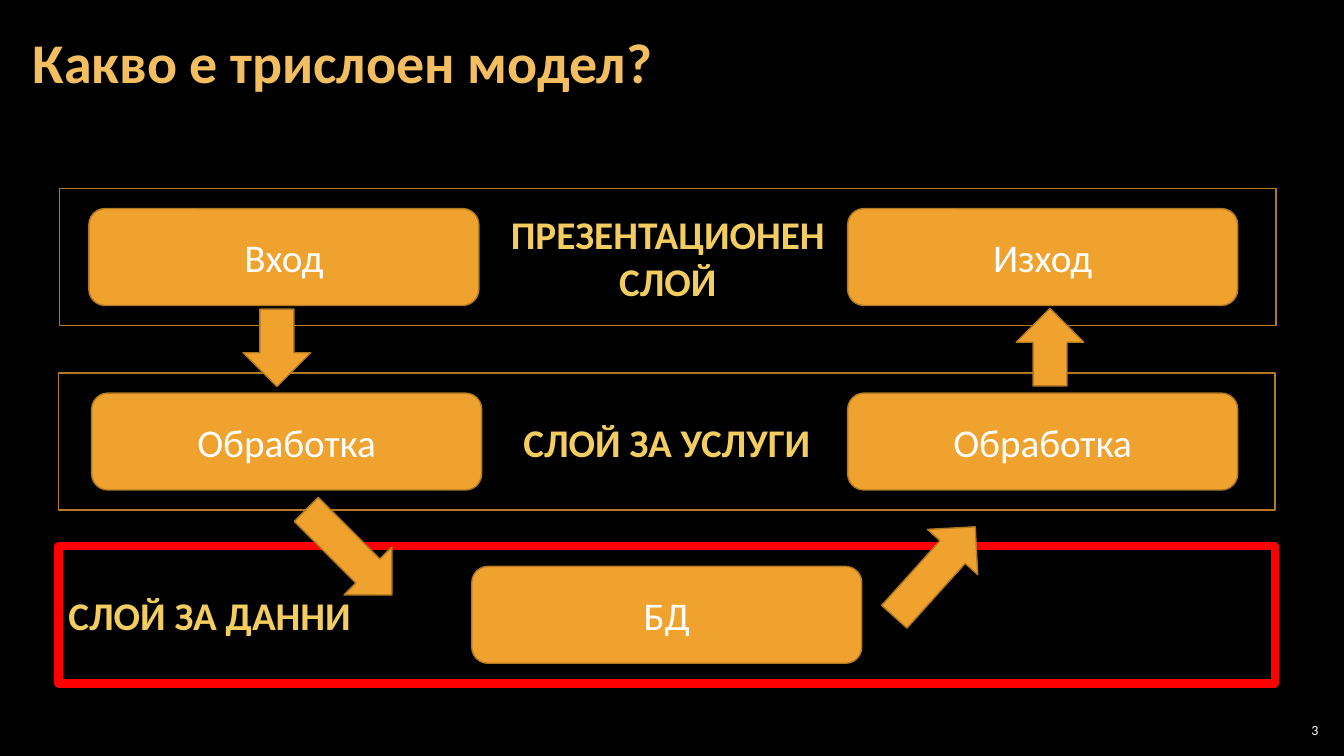
from pptx import Presentation
from pptx.dml.color import RGBColor
from pptx.enum.shapes import MSO_SHAPE
from pptx.enum.text import MSO_ANCHOR, PP_ALIGN
from pptx.util import Pt

BLACK = RGBColor(0x00, 0x00, 0x00)
WHITE = RGBColor(0xFF, 0xFF, 0xFF)
RED = RGBColor(0xFF, 0x00, 0x00)
ORANGE = RGBColor(0xF0, 0xA2, 0x2E)
BROWN = RGBColor(0xB2, 0x78, 0x22)
TITLE_GOLD = RGBColor(0xF3, 0xBE, 0x60)
LABEL_GOLD = RGBColor(0xF3, 0xCD, 0x60)
RECTANGLE = MSO_SHAPE.RECTANGLE
ROUNDED = MSO_SHAPE.ROUNDED_RECTANGLE
DOWN_ARROW = MSO_SHAPE.DOWN_ARROW
MIDDLE = MSO_ANCHOR.MIDDLE
LEFT, CENTER, RIGHT = PP_ALIGN.LEFT, PP_ALIGN.CENTER, PP_ALIGN.RIGHT

FONT = "Calibri"
LAYER_WIDTH, LAYER_HEIGHT = 869, 98
STEP_WIDTH, STEP_HEIGHT = 278.6, 69.2
ARROW_WIDTH = 48.4

LAYERS = [
    (42.5, 134.6, "ПРЕЗЕНТАЦИОНЕН\vСЛОЙ", CENTER, BROWN, 1,
     [(21, "Вход"), (563, "Изход")]),
    (41.8, 266.4, "СЛОЙ ЗА УСЛУГИ", CENTER, BROWN, 1,
     [(23.7, "Обработка"), (563.7, "Обработка")]),
    (41.8, 390.2, "СЛОЙ ЗА ДАННИ", LEFT, RED, 6,
     [(295.2, "БД")]),
]
ARROWS = [
    (173.6, 220.8, 55.4, 0),
    (225.2, 351.2, 86.4, 315),
    (643.5, 365.2, 86.4, 222),
    (725.8, 220.2, 55.4, 180),
]


def write_text(shape, text, size, color, bold=False, alignment=CENTER):
    """Put one formatted, vertically centred paragraph into a shape."""
    frame = shape.text_frame
    frame.word_wrap = True
    frame.vertical_anchor = MIDDLE
    frame.text = text
    paragraph = frame.paragraphs[0]
    paragraph.alignment = alignment
    for run in paragraph.runs:
        run.font.name = FONT
        run.font.size = Pt(size)
        run.font.bold = bold
        run.font.color.rgb = color
    return frame


def add_figure(slide, kind, box, line_color=BROWN, line_width=1, fill=ORANGE):
    """Add an outlined preset shape, hollow when fill is None."""
    shape = slide.shapes.add_shape(kind, *(Pt(length) for length in box))
    shape.shadow.inherit = False
    if fill is None:
        shape.fill.background()
    else:
        shape.fill.solid()
        shape.fill.fore_color.rgb = fill
    shape.line.color.rgb = line_color
    shape.line.width = Pt(line_width)
    return shape


def add_title(slide, left, top, width, height):
    """Place and format the slide title."""
    title = slide.shapes.title
    title.left, title.top = Pt(left), Pt(top)
    title.width, title.height = Pt(width), Pt(height)
    frame = write_text(title, "Какво е трислоен модел?", 40, TITLE_GOLD, True, LEFT)
    frame.margin_left = frame.margin_right = Pt(8.5)
    frame.margin_top = frame.margin_bottom = Pt(2.9)
    frame.paragraphs[0].line_spacing = 0.9


def add_slide_number(slide, left, top, width, height):
    """Add the page number in the corner."""
    box = slide.shapes.add_textbox(Pt(left), Pt(top), Pt(width), Pt(height))
    frame = write_text(box, "3", 10, WHITE, alignment=RIGHT)
    frame.margin_left = frame.margin_right = Pt(2.9)
    frame.margin_top = frame.margin_bottom = Pt(2.9)


def add_layer(slide, left, top, label, alignment, line_color, line_width, steps):
    """Draw a labelled layer frame with its steps centred vertically."""
    frame_box = (left, top, LAYER_WIDTH, LAYER_HEIGHT)
    layer = add_figure(slide, RECTANGLE, frame_box, line_color, line_width, None)
    write_text(layer, label, 28, LABEL_GOLD, True, alignment)
    step_top = top + (LAYER_HEIGHT - STEP_HEIGHT) / 2
    for offset, text in steps:
        step_box = (left + offset, step_top, STEP_WIDTH, STEP_HEIGHT)
        step = add_figure(slide, ROUNDED, step_box)
        write_text(step, text, 28, WHITE)


def add_arrow(slide, left, top, length, rotation):
    """Draw a block arrow turned from pointing down."""
    arrow = add_figure(slide, DOWN_ARROW, (left, top, ARROW_WIDTH, length))
    arrow.rotation = rotation


def main():
    """Build and save the slide."""
    presentation = Presentation()
    presentation.slide_width, presentation.slide_height = Pt(960), Pt(540)
    slide = presentation.slides.add_slide(presentation.slide_layouts[5])
    slide.background.fill.solid()
    slide.background.fill.fore_color.rgb = BLACK
    add_slide_number(slide, 910.8, 514, 33.8, 15.2)
    add_title(slide, 15, 3, 754, 87)
    for layer in LAYERS:
        add_layer(slide, *layer)
    for arrow in ARROWS:
        add_arrow(slide, *arrow)
    presentation.save("out.pptx")


if __name__ == "__main__":
    main()
